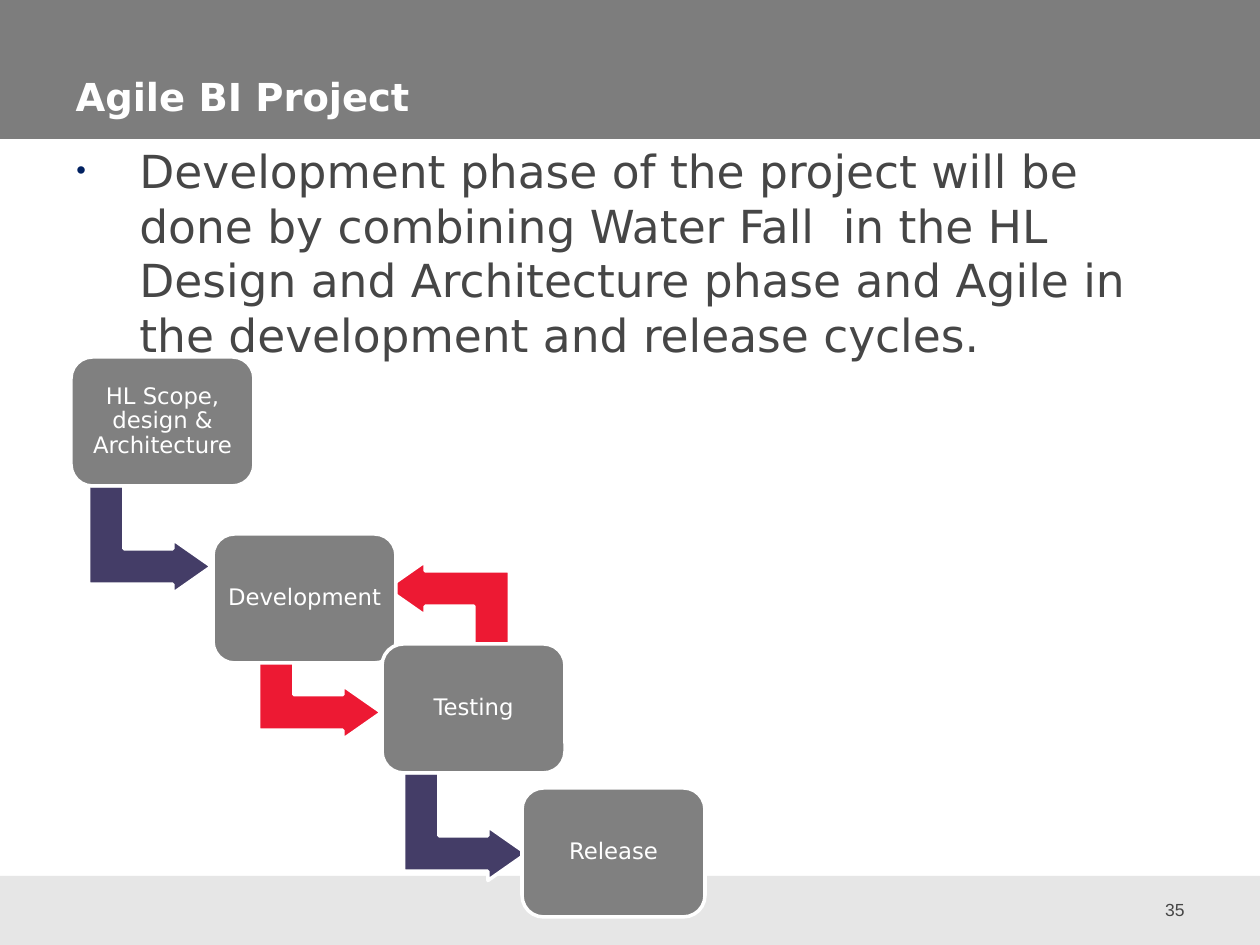
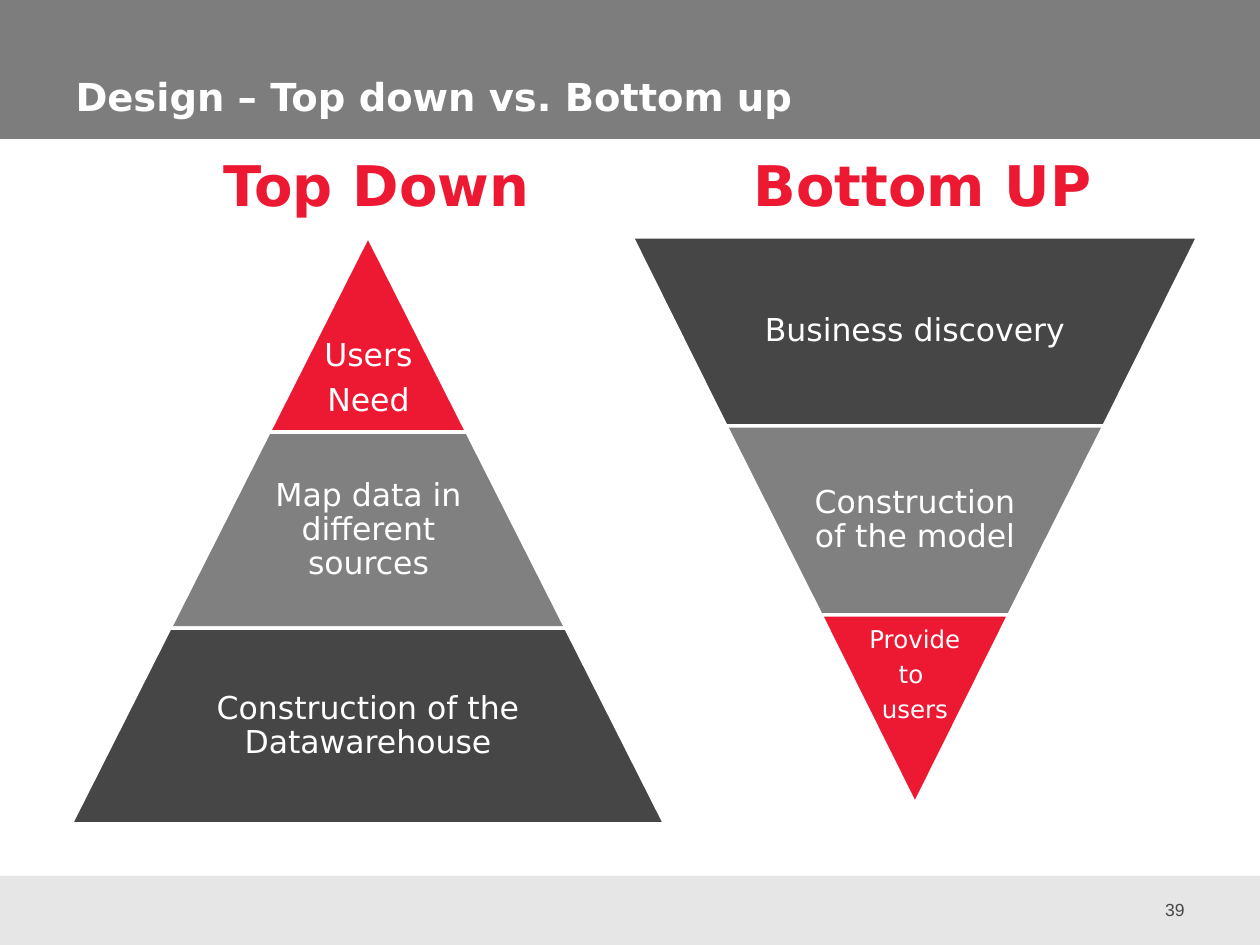
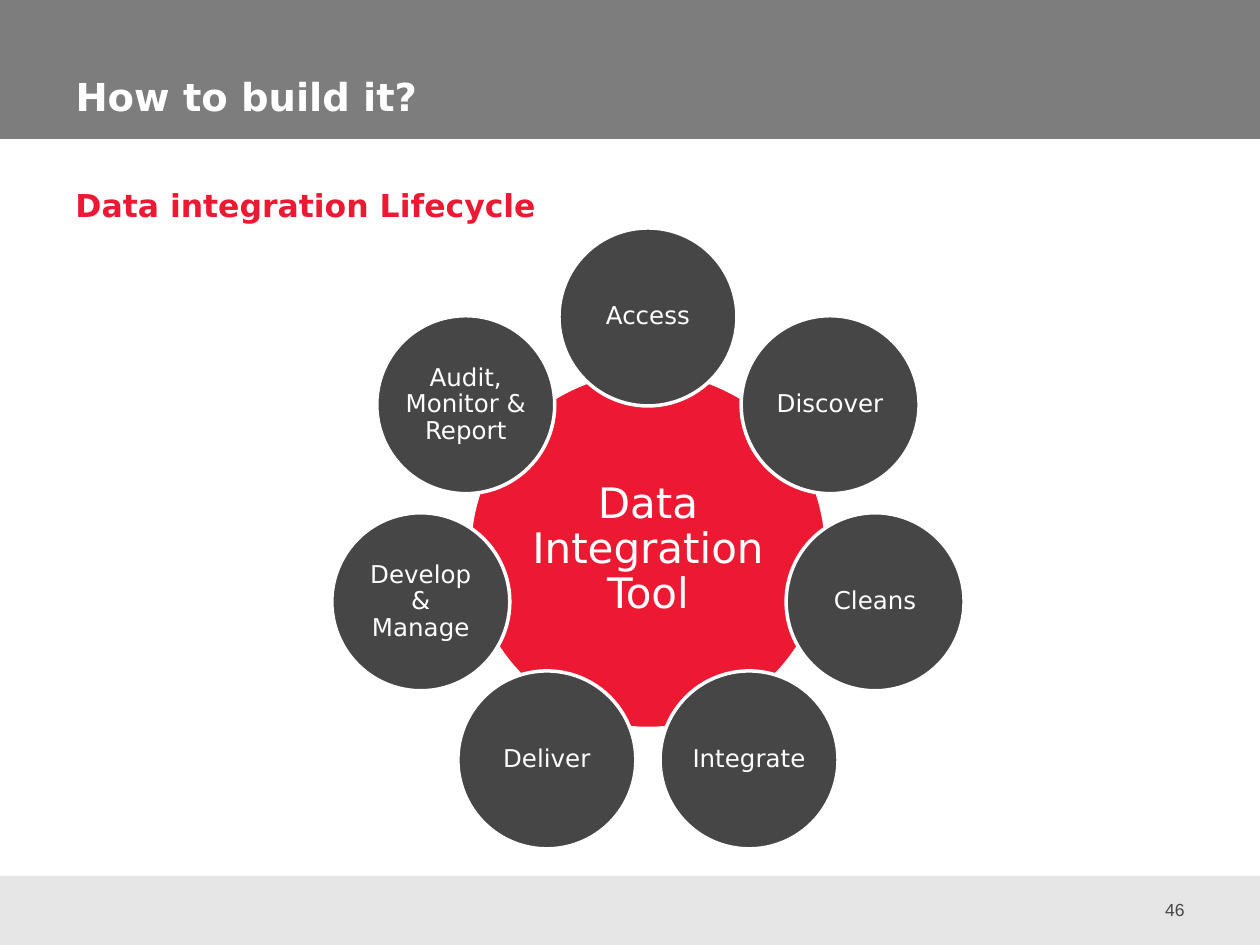
from math import cos, pi, sin

from pptx import Presentation
from pptx.dml.color import RGBColor
from pptx.enum.shapes import MSO_SHAPE
from pptx.enum.text import MSO_ANCHOR, MSO_AUTO_SIZE, PP_ALIGN
from pptx.oxml import parse_xml
from pptx.oxml.ns import nsdecls
from pptx.util import Pt

PX = 914400 / 126
FONT = "DejaVu Sans"
WHITE, RED, NAVY = "FFFFFF", "ED1933", "443D67"
GRAY, DARK, BAND, FOOTER = "808080", "464646", "7D7D7D", "E6E6E6"
BULLET = "002060"


def px(n):
    return round(n * PX)


def rgb(color):
    return RGBColor.from_string(color)


def style_shape(sp, fill, outlined=True):
    sp.shadow.inherit = False
    sp.fill.solid()
    sp.fill.fore_color.rgb = rgb(fill)
    if outlined:
        sp.line.color.rgb = rgb(WHITE)
        sp.line.width = Pt(2)
    else:
        sp.line.fill.background()


def write(sp, lines, size, color=WHITE, align=PP_ALIGN.CENTER, anchor=MSO_ANCHOR.MIDDLE,
          bold=False, font=FONT, inset=None, tight=False):
    """Fill a shape with paragraphs; tight is the diagram line spacing."""
    tf = sp.text_frame
    tf.word_wrap = True
    tf.auto_size = MSO_AUTO_SIZE.NONE
    tf.vertical_anchor = anchor
    if inset:
        side, top = inset
        tf.margin_left = tf.margin_right = px(side)
        tf.margin_top = tf.margin_bottom = px(top)
    for i, line in enumerate(lines):
        p = tf.paragraphs[0] if i == 0 else tf.add_paragraph()
        p.alignment = align
        if tight:
            p.line_spacing = 0.9
            p.space_after = Pt(round(size * 0.35, 1))
        r = p.add_run()
        r.text = line
        r.font.size = Pt(size)
        r.font.name = font
        r.font.bold = bold
        r.font.color.rgb = rgb(color)
    return tf


def add_shape(slide, kind, x, y, w, h, fill, outlined=True):
    sp = slide.shapes.add_shape(kind, px(x), px(y), px(w), px(h))
    style_shape(sp, fill, outlined)
    return sp


def add_text(slide, x, y, w, h, lines, size, **style):
    sp = slide.shapes.add_textbox(px(x), px(y), px(w), px(h))
    return write(sp, lines, size, **style)


def add_heading(slide, x, y, w, h, text, size, align):
    add_text(slide, x, y, w, h, [text], size, color=RED, bold=True, align=align,
             anchor=MSO_ANCHOR.TOP)


def add_bands(slide):
    """Draw the header and footer bands and move them to the layout."""
    tree = slide.slide_layout.shapes._spTree
    for y, h, color in ((0, 139, BAND), (876, 69, FOOTER)):
        band = add_shape(slide, MSO_SHAPE.RECTANGLE, 0, y, 1260, h, color, outlined=False)
        tree.insert(2, band._element)


def add_slide(prs, title, number):
    slide = prs.slides.add_slide(prs.slide_layouts[5])
    sp = slide.shapes.title
    sp.left, sp.top, sp.width, sp.height = px(63), px(48), px(1119), px(78)
    write(sp, [title], 22, align=PP_ALIGN.LEFT, anchor=MSO_ANCHOR.BOTTOM, bold=True)
    add_text(slide, 1134, 885, 63, 50, [number], 10, color=DARK, font="Arial",
             align=PP_ALIGN.RIGHT)
    return slide


def add_bullet(p, indent):
    pPr = p._p.get_or_add_pPr()
    pPr.set("marL", str(px(indent)))
    pPr.set("indent", str(-px(indent)))
    for xml in (f'<a:buClr {nsdecls("a")}><a:srgbClr val="{BULLET}"/></a:buClr>',
                f'<a:buSzPct {nsdecls("a")} val="60000"/>',
                f'<a:buFont {nsdecls("a")} typeface="Arial"/>',
                f'<a:buChar {nsdecls("a")} char="•"/>'):
        pPr.append(parse_xml(xml))


# Waterfall of project phases
def add_arrow(slide, x, y, rotation, color):
    sp = add_shape(slide, MSO_SHAPE.BENT_UP_ARROW, x, y, 108, 123, color)
    sp.rotation = rotation
    for i, value in enumerate((0.328, 0.25, 0.358)):
        sp.adjustments[i] = value


def add_phase(slide, x, y, name):
    sp = add_shape(slide, MSO_SHAPE.ROUNDED_RECTANGLE, x, y, 183, 129, GRAY)
    write(sp, [name], 13, inset=(6, 6), tight=True)


def build_waterfall(slide):
    add_arrow(slide, 394, 554, 270, RED)
    phases = [
        ("HL Scope, design & Architecture", (71, 357), (96, 478, NAVY)),
        ("Development", (213, 534), (266, 624, RED)),
        ("Testing", (382, 644), (411, 765, NAVY)),
        ("Release", (522, 788), None),
    ]
    for name, (x, y), arrow in phases:
        if arrow:
            ax, ay, color = arrow
            add_arrow(slide, ax, ay, 90, color)
        add_phase(slide, x, y, name)

    tf = add_text(slide, 64, 137, 1134, 733, [
        "Development phase of the project will be done by combining Water Fall  in the HL "
        "Design and Architecture phase and Agile in the development and release cycles."],
        26, color=DARK, align=PP_ALIGN.LEFT, anchor=MSO_ANCHOR.TOP)
    add_bullet(tf.paragraphs[0], 63)


# Pyramid and funnel
def build_pyramid(slide, center, top, half_step, height):
    levels = [
        (["Users", "Need"], RED, 90),
        (["Map data in different sources"], GRAY, 0),
        (["Construction of the Datawarehouse"], DARK, 0),
    ]
    for i, (lines, color, drop) in enumerate(levels):
        half = half_step * (i + 1)
        y = top + height * i
        sp = add_shape(slide, MSO_SHAPE.TRAPEZOID, center - half, y, 2 * half, height, color)
        sp.adjustments[0] = half_step / height
        label = round(1.3 * half)
        add_text(slide, center - label // 2, y + drop, label, height - drop, lines, 18,
                 inset=(4, 4), tight=True)


def build_funnel(slide, center, top, height):
    levels = [("Business discovery", DARK), ("Construction of the model", GRAY), (None, RED)]
    for i, (text, color) in enumerate(levels):
        half, next_half = (height * (3 - k) // 2 for k in (i, i + 1))
        y = top + height * i
        builder = slide.shapes.build_freeform(center + half, y, scale=PX)
        builder.add_line_segments([(center + next_half, y + height),
                                   (center - next_half, y + height),
                                   (center - half, y)], close=True)
        sp = builder.convert_to_shape()
        style_shape(sp, color)
        if text:
            write(sp, [text], 18, inset=(round(0.37 * half), 4), tight=True)
    add_text(slide, center - 113, 621, 226, 113, ["Provide", "to ", "users"], 14,
             anchor=MSO_ANCHOR.TOP, tight=True)


# Hub with a ring of steps
def add_circle(slide, cx, cy, diameter, fill, text, size, inset):
    sp = add_shape(slide, MSO_SHAPE.OVAL, cx - diameter / 2, cy - diameter / 2,
                   diameter, diameter, fill)
    write(sp, [text], size, inset=(inset, inset), tight=True)


def build_lifecycle(slide, cx, cy, radius):
    add_circle(slide, cx, cy, 357, RED, "Data Integration Tool", 24, 4)
    steps = ["Access", "Discover", "Cleans", "Integrate", "Deliver", "Develop & Manage",
             "Audit, Monitor & Report"]
    for i, step in enumerate(steps):
        angle = 2 * pi * i / len(steps)
        add_circle(slide, cx + radius * sin(angle), cy - radius * cos(angle), 178, DARK,
                   step, 14, 2)


def main():
    prs = Presentation()
    prs.slide_width, prs.slide_height = px(1260), px(945)

    slide = add_slide(prs, "Agile BI Project", "35")
    add_bands(slide)
    build_waterfall(slide)

    slide = add_slide(prs, "Design – Top down vs. Bottom up", "39")
    add_heading(slide, 190, 144, 352, 81, "Top Down", 32, PP_ALIGN.RIGHT)
    build_pyramid(slide, 368, 236, 99, 196)
    add_heading(slide, 726, 144, 378, 81, "Bottom UP", 32, PP_ALIGN.RIGHT)
    build_funnel(slide, 915, 237, 189)

    slide = add_slide(prs, "How to build it?", "46")
    add_heading(slide, 63, 180, 1118, 610, "Data integration Lifecycle", 18, PP_ALIGN.LEFT)
    build_lifecycle(slide, 648, 550, 233)

    prs.save("out.pptx")


if __name__ == "__main__":
    main()
